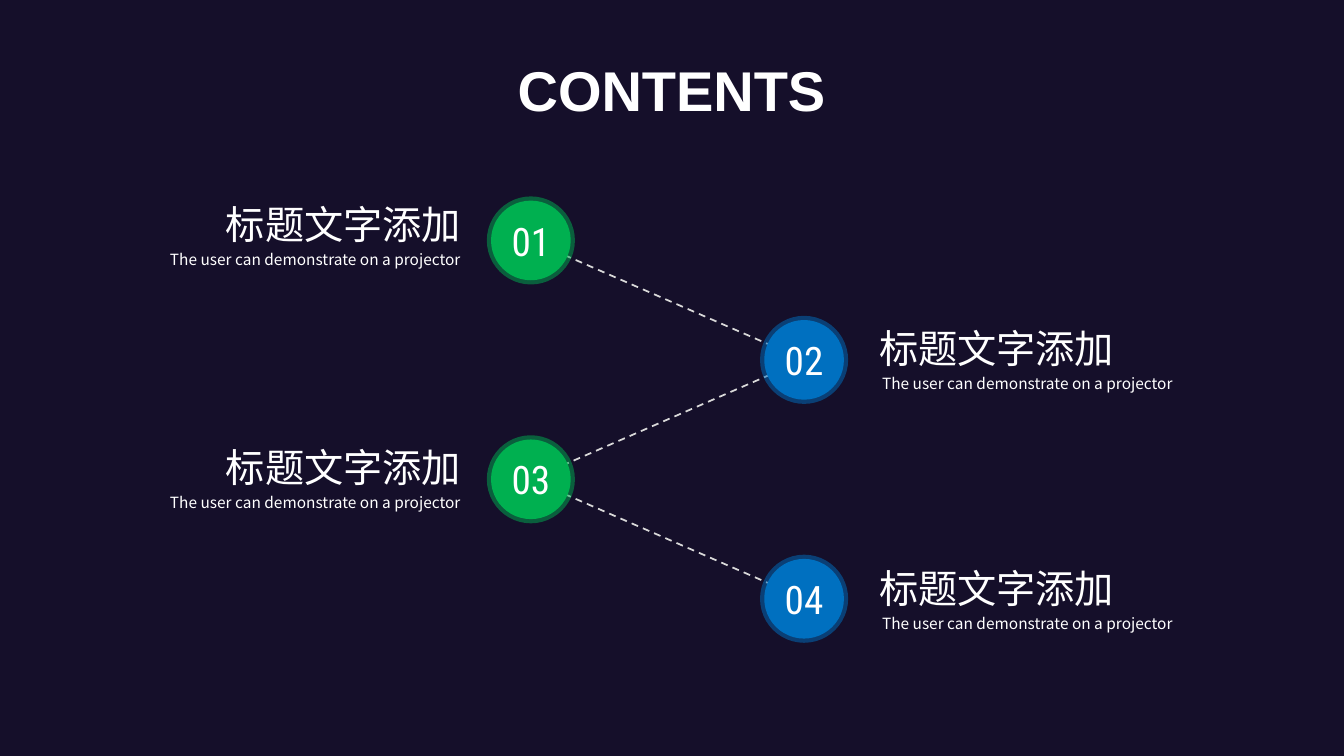
from itertools import pairwise

from lxml import etree
from pptx import Presentation
from pptx.dml.color import RGBColor
from pptx.enum import dml, shapes, text
from pptx.oxml import ns
from pptx.util import Inches, Pt

NIGHT = RGBColor(0x15, 0x0F, 0x2A)
WHITE = RGBColor(0xFF, 0xFF, 0xFF)
GREY = RGBColor(0xD9, 0xD9, 0xD9)
GREEN = RGBColor(0x00, 0xB0, 0x50)
BLUE = RGBColor(0x00, 0x70, 0xC0)

CIRCLE = 0.79
FIRST_TOP, ROW_STEP = 1.99, 1.185
LEFT_CIRCLE, RIGHT_CIRCLE = 4.87, 7.58
HEADING_WIDTH, CAPTION_WIDTH = 2.96, 3.33
LEFT_EDGE, RIGHT_EDGE = 4.67, 8.62
HEADING = "标题文字添加"
CAPTION = "The user can demonstrate on a projector"
ENTRIES = [("01", 1.94), ("02", 3.17), ("03", 4.35), ("04", 5.55)]


def style(paragraph, size, face, align):
    """Format a paragraph in white, with one face for all scripts."""
    paragraph.alignment = align
    font = paragraph.font
    font.size, font.name = Pt(size), face
    font.color.rgb = WHITE
    defaults = paragraph._p.pPr.find(ns.qn("a:defRPr"))
    etree.SubElement(defaults, ns.qn("a:ea"), typeface=face)


def add_title(slide, left, top, width, height):
    """Place the slide title in the given box."""
    title = slide.shapes.title
    title.left, title.top = Inches(left), Inches(top)
    title.width, title.height = Inches(width), Inches(height)
    frame = title.text_frame
    frame.text = "CONTENTS"
    frame.word_wrap = False
    frame.auto_size = text.MSO_AUTO_SIZE.SHAPE_TO_FIT_TEXT
    frame.vertical_anchor = text.MSO_ANCHOR.TOP
    style(frame.paragraphs[0], 40, "Arial", text.PP_ALIGN.CENTER)
    frame.paragraphs[0].font.bold = True


def add_path(slide, centres):
    """Join consecutive circle centres with dashed lines."""
    for start, end in pairwise(centres):
        link = slide.shapes.add_connector(
            shapes.MSO_CONNECTOR.STRAIGHT, *map(Inches, start + end))
        link.line.color.rgb = GREY
        link.line.width = Pt(1.25)
        link.line.dash_style = dml.MSO_LINE.DASH
        etree.SubElement(link._element.spPr, ns.qn("a:effectLst"))


def add_number(slide, left, top, number, colour):
    """Draw a numbered circle with a half-transparent rim."""
    circle = slide.shapes.add_shape(
        shapes.MSO_SHAPE.OVAL, Inches(left), Inches(top), Inches(CIRCLE), Inches(CIRCLE))
    circle.shadow.inherit = False
    circle.fill.solid()
    circle.fill.fore_color.rgb = colour
    circle.line.color.rgb = colour
    circle.line.width = Pt(6)
    rim = circle.line._ln.find(".//" + ns.qn("a:srgbClr"))
    etree.SubElement(rim, ns.qn("a:alpha"), val="50000")
    frame = circle.text_frame
    frame.margin_left = frame.margin_right = frame.margin_top = frame.margin_bottom = 0
    frame.word_wrap = False
    frame.vertical_anchor = text.MSO_ANCHOR.MIDDLE
    frame.text = number
    style(frame.paragraphs[0], 28, "Roboto Condensed", text.PP_ALIGN.CENTER)


def add_line(group, left, top, width, height, words, size, align):
    """Add one line of entry text and return its paragraph."""
    box = group.shapes.add_textbox(Inches(left), Inches(top), Inches(width), Inches(height))
    frame = box.text_frame
    frame.word_wrap = True
    frame.auto_size = text.MSO_AUTO_SIZE.SHAPE_TO_FIT_TEXT
    frame.text = words
    style(frame.paragraphs[0], size, "Noto Sans CJK SC", align)
    return frame.paragraphs[0]


def add_entry(slide, top, on_left):
    """Place a heading and its caption on one side of the path."""
    group = slide.shapes.add_group_shape()
    if on_left:
        align = text.PP_ALIGN.RIGHT
        heading_left, caption_left = LEFT_EDGE - HEADING_WIDTH, LEFT_EDGE - CAPTION_WIDTH
    else:
        align = text.PP_ALIGN.LEFT
        heading_left, caption_left = RIGHT_EDGE, RIGHT_EDGE + 0.03
    add_line(group, heading_left, top, HEADING_WIDTH, 0.57, HEADING, 28, align)
    caption = add_line(
        group, caption_left, top + 0.47, CAPTION_WIDTH, 0.31, CAPTION, 11, align)
    caption.line_spacing = 1.14


def add_contents(slide):
    """Build the zigzag of four numbered entries."""
    corners = [(RIGHT_CIRCLE if row % 2 else LEFT_CIRCLE, FIRST_TOP + row * ROW_STEP)
               for row in range(len(ENTRIES))]
    add_path(slide, [(left + CIRCLE / 2, top + CIRCLE / 2) for left, top in corners])
    for (left, top), (number, text_top) in zip(corners, ENTRIES):
        on_left = left == LEFT_CIRCLE
        add_number(slide, left, top, number, GREEN if on_left else BLUE)
        add_entry(slide, text_top, on_left)


def main():
    """Create and save the contents slide."""
    deck = Presentation()
    deck.slide_width, deck.slide_height = Inches(13.33), Inches(7.5)
    slide = deck.slides.add_slide(deck.slide_layouts[5])
    slide.background.fill.solid()
    slide.background.fill.fore_color.rgb = NIGHT
    add_title(slide, 5.02, 0.5, 3.28, 0.77)
    add_contents(slide)
    deck.save("out.pptx")


if __name__ == "__main__":
    main()
